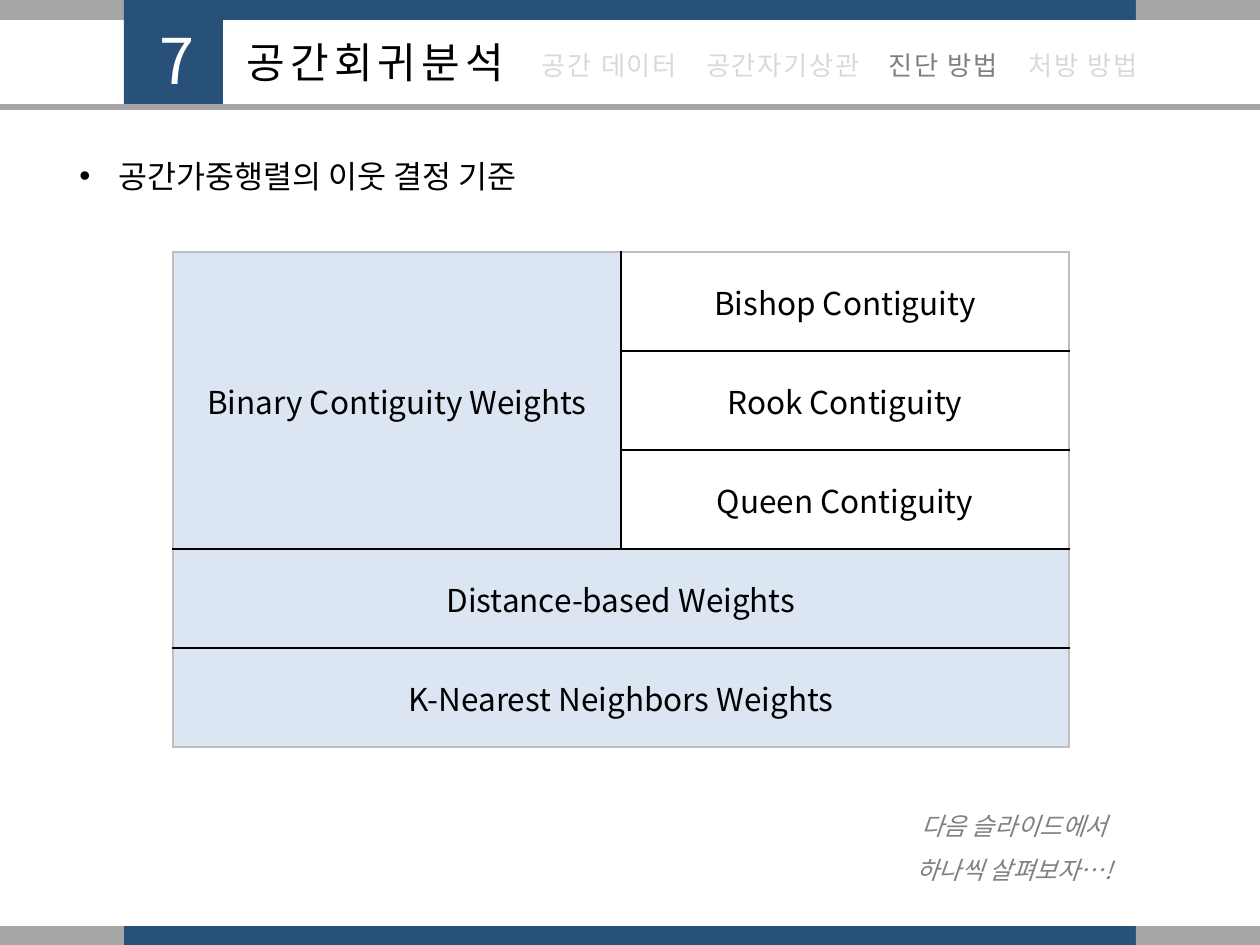
"""Builds the slide on neighbour criteria for spatial weight matrices."""
from lxml.etree import SubElement
from pptx import Presentation
from pptx.dml.color import RGBColor
from pptx.enum.shapes import MSO_SHAPE
from pptx.enum.text import MSO_ANCHOR, PP_ALIGN
from pptx.oxml import parse_xml
from pptx.oxml.ns import nsdecls, qn
from pptx.util import Pt

FONT = "Noto Sans CJK KR"
SCALE = 914400 / 126
WIDTH, HEIGHT = 1260, 945
COLORS = {
    "navy": "28517A", "gray": "A6A6A6", "pale": "D9D9D9", "dim": "808080",
    "sky": "DCE6F2", "edge": "BFBFBF", "black": "000000", "white": "FFFFFF",
}
BAR_H = 20
BAR_PARTS = [(124, 1016, "navy"), (0, 124, "gray"), (1136, 124, "gray")]
HEADER_PARTS = [(124, 0, 99, 104, "navy"), (0, 104, WIDTH, 6, "gray")]

CENTER, LEFT = PP_ALIGN.CENTER, PP_ALIGN.LEFT
TEXTS = [
    ("7", (122, 15, 110, 89), "white", 300, CENTER, {"size": Pt(36)}),
    ("공간회귀분석", (234, 30, 466, 63), "black", 300, LEFT, {"size": Pt(24)}),
]
TABS = [
    ("공간 데이터", 481, 257, "pale"),
    ("공간자기상관", 689, 188, "pale"),
    ("진단 방법", 849, 188, "dim"),
    ("처방 방법", 989, 188, "pale"),
]
TOPIC = "공간가중행렬의 이웃 결정 기준"
CLOSING = "다음 슬라이드에서 하나씩 살펴보자…!"

TABLE_X, TABLE_Y, COL_W, ROW_H = 173, 252, 448, 99
ROWS, COLS, HEAVY_ROW = 5, 2, 3
BLOCKS = [
    ("Binary Contiguity Weights", 0, 0, 3, 1, "sky"),
    ("Bishop Contiguity", 0, 1, 1, 1, "white"),
    ("Rook Contiguity", 1, 1, 1, 1, "white"),
    ("Queen Contiguity", 2, 1, 1, 1, "white"),
    ("Distance-based Weights", 3, 0, 1, 2, "sky"),
    ("K-Nearest Neighbors Weights", 4, 0, 1, 2, "sky"),
]


def px(n):
    return round(n * SCALE)


def rgb(name):
    return RGBColor.from_string(COLORS[name])


def add_bar(s, x, y, w, h, color):
    sp = s.shapes.add_shape(MSO_SHAPE.RECTANGLE, px(x), px(y), px(w), px(h))
    sp.shadow.inherit = False
    sp.fill.solid()
    sp.fill.fore_color.rgb = rgb(color)
    sp.line.fill.background()


def write(p, text, color, spacing, align, fmt):
    p.alignment = align
    r = p.add_run()
    r.text = text
    for key, value in {"name": FONT, **fmt}.items():
        setattr(r.font, key, value)
    r.font.color.rgb = rgb(color)
    rPr = r.font._element
    SubElement(rPr, qn("a:ea")).set("typeface", FONT)
    if spacing:
        rPr.set("spc", str(spacing))


def add_text(s, text, box, color, spacing, align, fmt):
    tf = s.shapes.add_textbox(*map(px, box)).text_frame
    tf.word_wrap = True
    p = tf.paragraphs[0]
    write(p, text, color, spacing, align, fmt)
    return p


def add_bullet(p, indent):
    pPr = p._p.get_or_add_pPr()
    pPr.set("marL", str(px(indent)))
    pPr.set("indent", str(-px(indent)))
    SubElement(pPr, qn("a:buFont")).set("typeface", "Arial")
    SubElement(pPr, qn("a:buChar")).set("char", "•")


def border(tag, position, last, visible):
    color = COLORS["edge" if position in (0, last) else "black"]
    heavy = last == ROWS and position == HEAVY_ROW
    width = Pt(1.5 if heavy else 1)
    fill = f'<a:solidFill><a:srgbClr val="{color}"/></a:solidFill>' if visible else "<a:noFill/>"
    return parse_xml(f'<a:{tag} {nsdecls("a")} w="{width}">{fill}</a:{tag}>')


def format_block(table, text, row, col, height, width, color):
    bottom, right = row + height, col + width
    origin = table.cell(row, col)
    if height * width > 1:
        origin.merge(table.cell(bottom - 1, right - 1))
    for i in range(row, bottom):
        for j in range(col, right):
            cell = table.cell(i, j)
            cell.fill.solid()
            cell.fill.fore_color.rgb = rgb(color)
            first = (i, j) == (row, col)
            edges = [
                ("lnL", col, COLS, j == col),
                ("lnR", right, COLS, first or j == right - 1),
                ("lnT", row, ROWS, i == row),
                ("lnB", bottom, ROWS, first or i == bottom - 1),
            ]
            tcPr = cell._tc.get_or_add_tcPr()
            for k, edge in enumerate(edges):
                tcPr.insert(k, border(*edge))
    origin.vertical_anchor = MSO_ANCHOR.MIDDLE
    write(origin.text_frame.paragraphs[0], text, "black", 0, CENTER, {"size": Pt(18)})


def add_weights_table(s):
    table = s.shapes.add_table(ROWS, COLS, px(TABLE_X), px(TABLE_Y),
                               px(COLS * COL_W), px(ROWS * ROW_H)).table
    table.first_row = table.horz_banding = False
    for column in table.columns:
        column.width = px(COL_W)
    for row in table.rows:
        row.height = px(ROW_H)
    for block in BLOCKS:
        format_block(table, *block)


def main():
    prs = Presentation()
    prs.slide_width, prs.slide_height = px(WIDTH), px(HEIGHT)
    s = prs.slides.add_slide(prs.slide_layouts[6])
    for y in (0, HEIGHT - BAR_H + 1):
        for x, w, color in BAR_PARTS:
            add_bar(s, x, y, w, BAR_H, color)
    for part in HEADER_PARTS:
        add_bar(s, *part)
    for item in TEXTS:
        add_text(s, *item)
    for text, x, w, color in TABS:
        add_text(s, text, (x, 43, w, 44), color, 100, CENTER, {"size": Pt(15)})
    topic = add_text(s, TOPIC, (67, 151, 1032, 50), "black", 0, LEFT, {"size": Pt(18)})
    add_bullet(topic, 39)
    closing = add_text(s, CLOSING, (903, 790, 223, 97), "dim", 0, CENTER,
                       {"size": Pt(14), "italic": True})
    closing.line_spacing = 1.5
    add_weights_table(s)
    prs.save("out.pptx")


if __name__ == "__main__":
    main()
